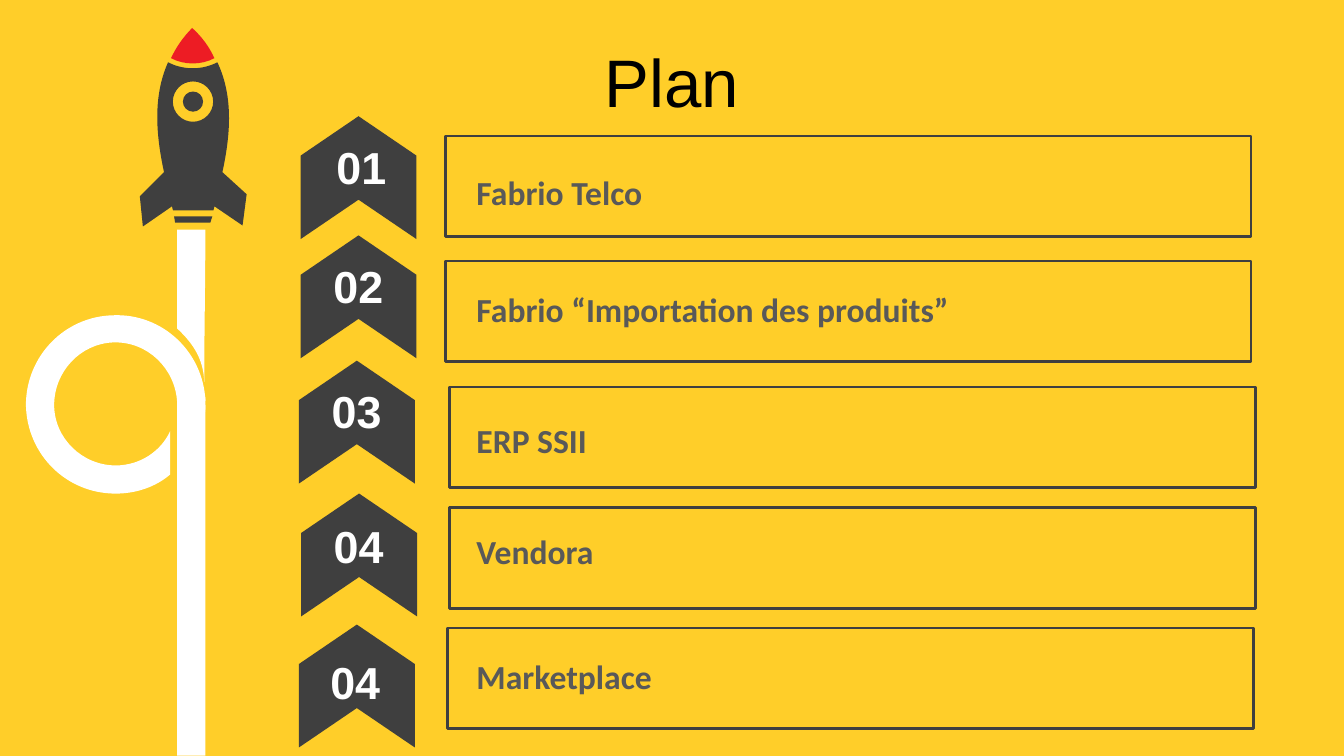
from lxml import etree
from pptx import Presentation
from pptx import util as u
from pptx.dml.color import RGBColor
from pptx.enum import shapes, text
from pptx.oxml.ns import qn

YELLOW = RGBColor(0xFF, 0xCE, 0x29)
DARK = RGBColor(0x3F, 0x3F, 0x3F)
GREY = RGBColor(0x59, 0x59, 0x59)
RED = RGBColor(0xED, 0x1C, 0x24)
WHITE = RGBColor(0xFF, 0xFF, 0xFF)
BLACK = RGBColor(0, 0, 0)
MSO = shapes.MSO_SHAPE
ALIGN = text.PP_ALIGN
ANCHOR = text.MSO_ANCHOR

FRAME_SIZE = (575.5, 72)
BADGE_SIZE = (87.8, 82.8)
NUMBER_SIZE = (58.3, 48.2)
LABEL_SIZE = (529.2, 33.8)
LABEL_LEFT = 329.3

# number, label, frame corner, then badge, number and label offsets from it
ROWS = [
    ("01", "Fabrio Telco", (318.2, 97.2), (-106, -11.7), (-89.2, -2.2), 19),
    ("02", "Fabrio “Importation des produits”", (318.2, 186.5), (-106, -15.9), (-91.4, -6.5), 13.3),
    ("03", "ERP SSII", (321.3, 276.5), (-110.3, -16.4), (-95.7, -7.2), 16.9),
    ("04", "Vendora", (321.3, 362.7), (-108.7, -7.7), (-94.3, 2.9), 9.9),
    ("04", "Marketplace", (319.7, 448.6), (-108.7, 0), (-95.1, 14.4), 13.6),
]

# In a contour, two numbers are a corner and six are a Bezier curve.
SMOKE_LOOP = [
    [(123.1, 125.3), (128.2, 125.3), (128.2, 133.9, 126, 141.1, 123.1, 148.3)],
    [(62.6, 61.2), (97.2, 59.8, 126.7, 87.1, 128.2, 122.4), (108, 123.1),
     (106.6, 99.4, 87.1, 79.9, 62.6, 80.6), (38.9, 81.4, 20.2, 101.5, 20.2, 125.3),
     (20.2, 149, 40.3, 168.5, 64.1, 168.5), (81.4, 168.5, 96.5, 158.4, 103, 144),
     (103, 175), (92.9, 183.6, 79.2, 188.6, 64.1, 188.6),
     (28.8, 188.6, 0.7, 160.6, 0, 125.3), (0, 90.7, 27.4, 61.9, 62.6, 61.2)],
]
SMOKE_TOP = [
    [(108, 0), (128.2, 0), (128.2, 36, 127.4, 72.7, 127.4, 108.7),
     (126.7, 92.2, 119.5, 81.4, 108, 70.6), (108, 0)],
]
NOZZLE = [(24.5, 134.6), (51.8, 134.6), (51.1, 136.1, 51.1, 137.5, 50.4, 139), (25.2, 139)]
HULL = [
    (20.2, 24.5), (31, 30.2, 44.6, 30.2, 55.4, 24.5), (67.7, 50.4, 64.1, 79.2, 59, 103),
    (76.3, 118.8), (73.4, 141.1), (53.3, 127.4), (52.6, 130.3), (23.8, 130.3),
    (23.8, 129.6, 23, 128.9, 23, 127.4), (2.2, 141.8), (0, 120.2), (16.6, 103.7),
    (17.3, 103), (12.2, 79.2, 8.6, 50.4, 20.2, 24.5),
]
NOSE = [
    (37.4, 0), (44.6, 6.5, 49.7, 13.7, 53.3, 21.6), (43.9, 26.6, 31.7, 26.6, 22.3, 21.6),
    (25.9, 13.7, 31, 6.5, 37.4, 0),
]


def circle(cx, cy, r):
    k = 0.55 * r
    return [(cx + r, cy),
            (cx + r, cy + k, cx + k, cy + r, cx, cy + r),
            (cx - k, cy + r, cx - r, cy + k, cx - r, cy),
            (cx - r, cy - k, cx - k, cy - r, cx, cy - r),
            (cx + k, cy - r, cx + r, cy - k, cx + r, cy)]


def paint(sp, fill=None, line=None):
    sp.shadow.inherit = False
    if fill is None:
        sp.fill.background()
    else:
        sp.fill.solid()
        sp.fill.fore_color.rgb = fill
    if line is None:
        sp.line.fill.background()
    else:
        sp.line.color.rgb = line
        sp.line.width = u.Pt(2)


def add_outline(s, left, top, bounds, contours, fill):
    """Add a freeform with true curves; bounds frames the contours from left, top."""
    x0, y0, width, height = bounds
    x, y = u.Pt(left + x0), u.Pt(top + y0)
    fb = s.shapes.build_freeform(x, y)
    right, bottom = x + u.Pt(width), y + u.Pt(height)
    fb.add_line_segments([(right, y), (right, bottom), (x, bottom)])
    sp = fb.convert_to_shape()
    outline = next(sp.element.iter(qn("a:path")))
    for child in list(outline):
        outline.remove(child)
    for contour in contours:
        for i, seg in enumerate(contour):
            tag = "a:moveTo" if i == 0 else "a:lnTo" if len(seg) == 2 else "a:cubicBezTo"
            step = etree.SubElement(outline, qn(tag))
            for px, py in zip(seg[::2], seg[1::2]):
                etree.SubElement(step, qn("a:pt"), x=str(int(u.Pt(px - x0))),
                                 y=str(int(u.Pt(py - y0))))
        etree.SubElement(outline, qn("a:close"))
    paint(sp, fill)


def add_preset(s, kind, left, top, size, fill=None, line=None):
    sp = s.shapes.add_shape(kind, *(u.Pt(v) for v in (left, top, *size)))
    paint(sp, fill, line)
    return sp


def write(sp, words, color, align, anchor=ANCHOR.TOP, **font):
    tf = sp.text_frame
    frame = dict(word_wrap=True, auto_size=text.MSO_AUTO_SIZE.NONE, vertical_anchor=anchor,
                 margin_left=u.Pt(9.4), margin_right=u.Pt(9.4),
                 margin_top=u.Pt(5), margin_bottom=u.Pt(5))
    for name, value in frame.items():
        setattr(tf, name, value)
    p = tf.paragraphs[0]
    p.alignment = align
    r = p.add_run()
    r.text = words
    for name, value in font.items():
        setattr(r.font, name, value)
    r.font.color.rgb = color


def add_title(s, left, top, width, height):
    sp = s.shapes.title
    box = dict(left=left, top=top, width=width, height=height)
    for name, value in box.items():
        setattr(sp, name, u.Pt(value))
    write(sp, "Plan", BLACK, ALIGN.CENTER, ANCHOR.MIDDLE, name="Arial", size=u.Pt(48), bold=False)


def add_smoke(s, left, top):
    add_outline(s, left, top, (0, 61.2, 128.2, 127.4), SMOKE_LOOP, WHITE)
    add_outline(s, left, top, (108, 0, 20.2, 108.7), SMOKE_TOP, WHITE)
    add_preset(s, MSO.RECTANGLE, left + 108, top + 119.5, (20.2, 256.3), WHITE)


def add_rocket(s, left, top):
    window = [circle(38, 52.6, r) for r in (7.2, 14.4)]
    add_outline(s, left, top, (0, 24.5, 76.3, 117.3), [NOZZLE, *window, HULL], DARK)
    add_outline(s, left, top, (22.3, 0, 31, 25.4), [NOSE], RED)


def add_row(s, number, label, frame, badge, digits, label_drop):
    left, top = frame
    add_preset(s, MSO.RECTANGLE, left, top, FRAME_SIZE, line=DARK)

    sp = add_preset(s, MSO.CHEVRON, left + badge[0], top + badge[1], BADGE_SIZE, DARK)
    sp.rotation = 270
    sp.adjustments[0] = 0.34

    box = (left + digits[0], top + digits[1], *NUMBER_SIZE)
    sp = s.shapes.add_textbox(*(u.Pt(v) for v in box))
    write(sp, number, WHITE, ALIGN.CENTER, name="Arial", size=u.Pt(32), bold=True)

    sp = add_preset(s, MSO.ROUND_2_SAME_RECTANGLE, LABEL_LEFT, top + label_drop, LABEL_SIZE)
    write(sp, label, GREY, ALIGN.LEFT, name="Calibri", size=u.Pt(24), bold=True)


def main():
    prs = Presentation()
    prs.slide_width, prs.slide_height = u.Pt(960), u.Pt(540)
    s = prs.slides.add_slide(prs.slide_layouts[5])
    s.background.fill.solid()
    s.background.fill.fore_color.rgb = YELLOW
    add_title(s, 0, 27.4, 960, 60.5)
    add_smoke(s, 18.5, 164)
    add_rocket(s, 99.9, 20)
    for row in ROWS:
        add_row(s, *row)
    prs.save("out.pptx")


if __name__ == "__main__":
    main()
